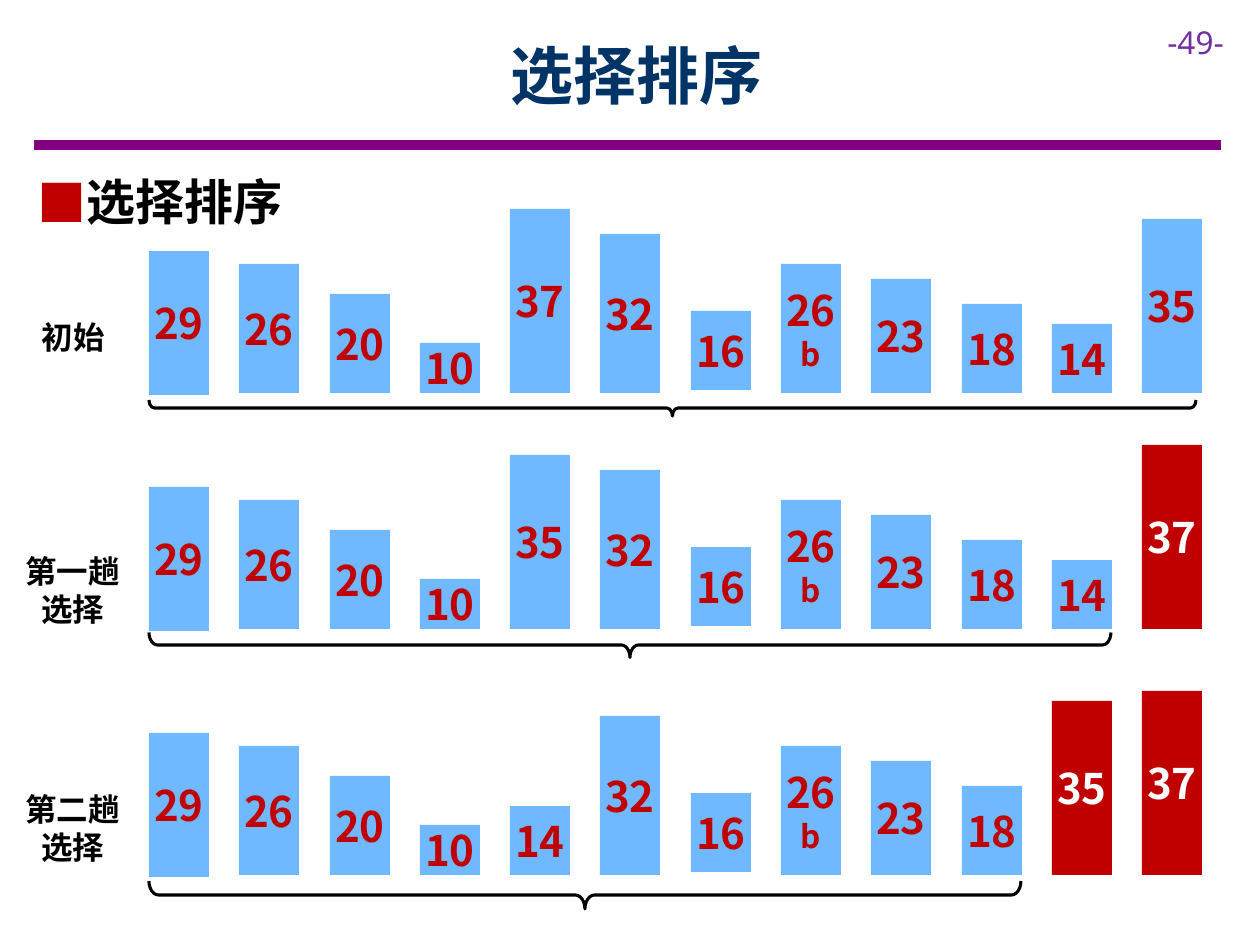
"""Build the selection sort slide: bars before and after two passes."""
from lxml import etree
from pptx import Presentation
from pptx.dml.color import RGBColor as Rgb
from pptx.enum.shapes import MSO_CONNECTOR as Conn, MSO_SHAPE as Kind
from pptx.enum.text import MSO_ANCHOR as Anchor, PP_ALIGN as Align
from pptx.oxml.ns import qn
from pptx.util import Pt

PX = 914400 // 126
HUES = {"blue": "70B8FF", "red": "C00000", "white": "FFFFFF", "black": "000000",
        "navy": "003366", "purple": "800080", "violet": "7030A0"}
CJK = "Noto Sans CJK SC"


def hue(name):
    return Rgb.from_string(HUES[name])


def write(shape, text, sizes, color, align=Align.CENTER, font=CJK, bold=True):
    frame = shape.text_frame
    frame.text = text
    for para, size in zip(frame.paragraphs, sizes):
        para.alignment = align
        for run in para.runs:
            run.font.size = Pt(size)
            run.font.bold = bold
            run.font.name = font
            run.font.color.rgb = hue(color)
            etree.SubElement(run.font._element, qn("a:ea"), typeface=font)
    return frame


deck = Presentation()
deck.slide_width, deck.slide_height = 1260 * PX, 945 * PX
shapes = deck.slides.add_slide(deck.slide_layouts[6]).shapes

rule = shapes.add_connector(Conn.STRAIGHT, 34 * PX, 145 * PX, 1221 * PX, 145 * PX)
rule.line.color.rgb = hue("purple")
rule.line.width = Pt(6)
etree.SubElement(rule._element.spPr, qn("a:effectLst"))

page = shapes.add_textbox(1155 * PX, 17 * PX, 105 * PX, 50 * PX)
write(page, "-49-", [18], "violet", Align.LEFT, "Noto Sans", False).word_wrap = True

title = shapes.add_textbox(113 * PX, 11 * PX, 1047 * PX, 126 * PX)
frame = write(title, "选择排序", [36], "navy")
frame.word_wrap = True
frame.vertical_anchor = Anchor.MIDDLE

topic = shapes.add_textbox(25 * PX, 165 * PX, 1191 * PX, 72 * PX)
frame = write(topic, "选择排序", [28], "black", Align.LEFT)
frame.word_wrap = True
para = frame.paragraphs[0]
para.space_after = Pt(6)
props = para._p.get_or_add_pPr()
props.set("marL", str(48 * PX))
props.set("indent", str(-48 * PX))
tint = etree.SubElement(props, qn("a:buClr"))
etree.SubElement(tint, qn("a:srgbClr"), val=HUES["red"])
etree.SubElement(props, qn("a:buFont"), typeface=CJK)
etree.SubElement(props, qn("a:buChar"), char="■")

LEFT, STEP, WIDE, UNIT = 149, 90.3, 60, 4.96
DROP = {29: 2, 16: -3}
ROWS = [
    ([29, 26, 20, 10, 37, 32, 16, 26, 23, 18, 14, 35], 0, 393),
    ([29, 26, 20, 10, 35, 32, 16, 26, 23, 18, 14, 37], 1, 629),
    ([29, 26, 20, 10, 14, 32, 16, 26, 23, 18, 35, 37], 2, 875),
]
for nums, done, base in ROWS:
    for col, num in enumerate(nums):
        high = round(num * UNIT)
        top = base + DROP.get(num, 0) - high
        bar = shapes.add_shape(Kind.RECTANGLE, round(LEFT + col * STEP) * PX, top * PX,
                               WIDE * PX, high * PX)
        fixed = col >= len(nums) - done
        bar.shadow.inherit = False
        bar.fill.solid()
        bar.fill.fore_color.rgb = hue("red" if fixed else "blue")
        bar.line.fill.background()
        text = "26\nb" if col == 7 else str(num)
        frame = write(bar, text, [24, 18], "white" if fixed else "red")
        frame.vertical_anchor = Anchor.MIDDLE
        frame.margin_left = frame.margin_right = 0
        frame.margin_top = frame.margin_bottom = 13 * PX

for end, mid, thick in [(1196, 408, 16), (1111, 645, 25), (1021, 895, 28)]:
    span = end - LEFT
    brace = shapes.add_shape(Kind.LEFT_BRACE, (LEFT + end - thick) * PX // 2,
                             (2 * mid - span) * PX // 2, thick * PX, span * PX)
    brace.rotation = 270
    brace.adjustments[0] = 0.34
    brace.shadow.inherit = False
    brace.fill.solid()
    brace.fill.fore_color.rgb = hue("white")
    brace.line.color.rgb = hue("black")
    brace.line.width = Pt(1.75)

for text, left, top, wide, high in [("初始", 29, 312, 89, 50),
                                    ("第一趟\n选择", 12, 546, 121, 89),
                                    ("第二趟\n选择", 12, 784, 121, 89)]:
    label = shapes.add_textbox(left * PX, top * PX, wide * PX, high * PX)
    write(label, text, [18, 18], "black").word_wrap = False

deck.save("out.pptx")
